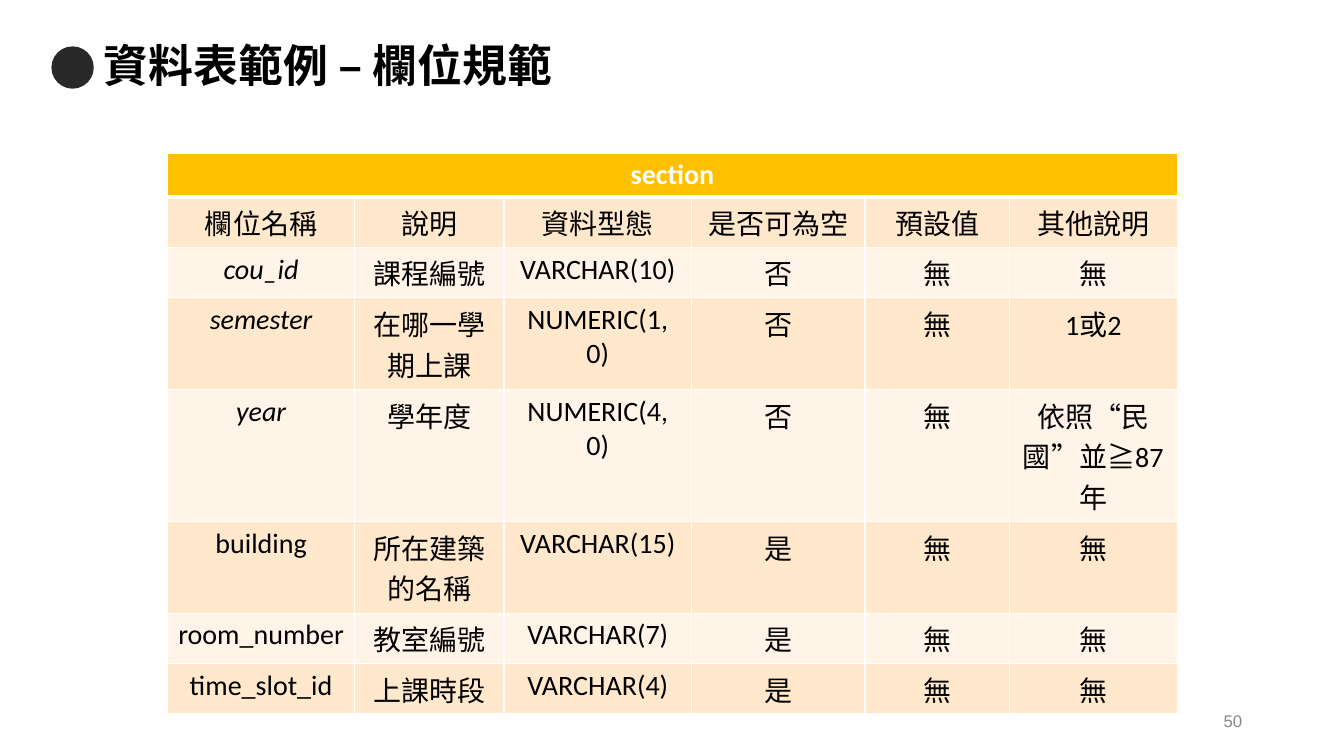
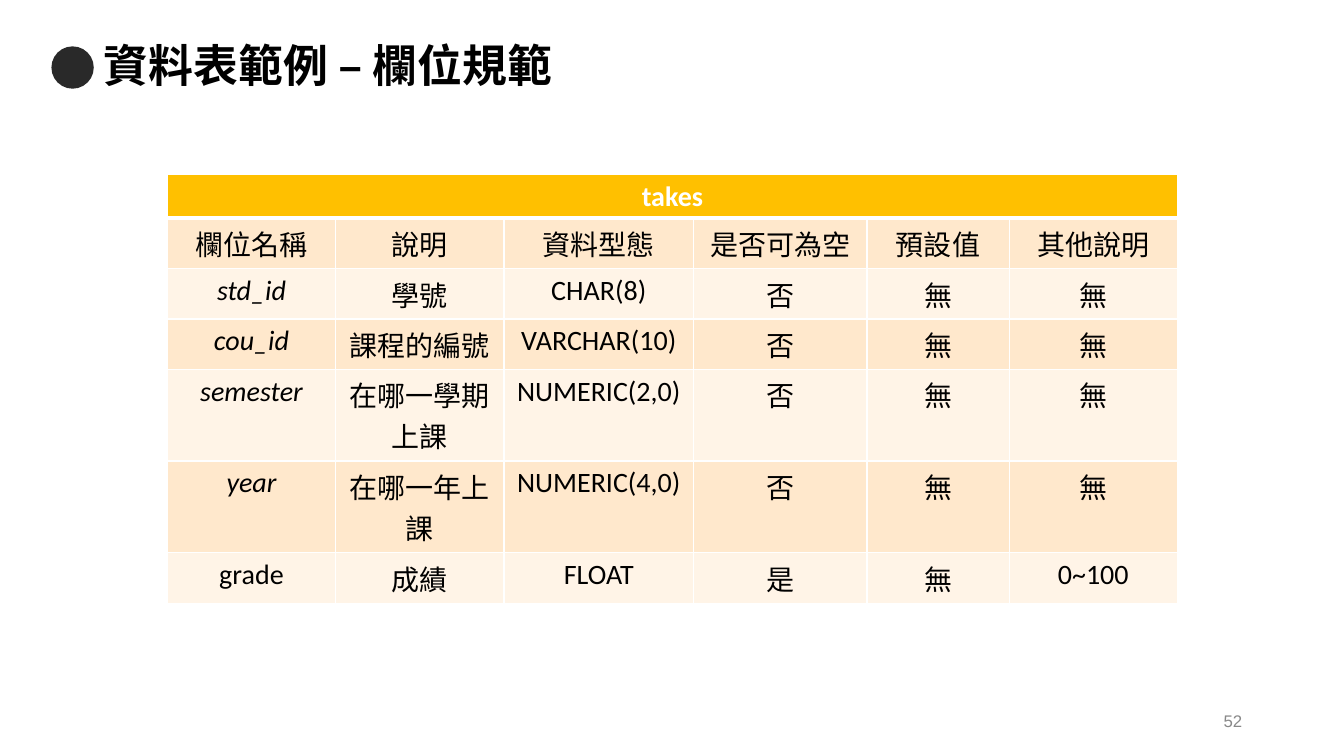
from lxml import etree
from pptx import Presentation
from pptx.dml.color import RGBColor
from pptx.enum.lang import MSO_LANGUAGE_ID
from pptx.enum.shapes import MSO_SHAPE
from pptx.enum.text import MSO_ANCHOR, MSO_AUTO_SIZE, PP_ALIGN
from pptx.oxml.ns import qn
from pptx.util import Inches, Pt

COLORS = {"dot": "292929", "text": "000000", "number": "888888", "white": "FFFFFF",
          "header": "FFC000", "band_dark": "FFE8CC", "band_light": "FFF4E7"}
TITLE = "資料表範例 – 欄位規範"
TITLE_FONT = {"name": "Calibri", "size": Pt(32), "bold": True}
HEADER_FONT = {"name": "Calibri", "size": Pt(20), "bold": True}
BODY_FONT = {"name": "Calibri", "size": Pt(20), "bold": False}
NUMBER_FONT = {"name": "Arial", "size": Pt(12)}
HEADER_HEIGHT = 0.43
ROW_HEIGHTS = {1: 0.5, 2: 0.91, 3: 1.31}  # by lines of text in the row
HEADINGS = ["欄位名稱", "說明", "資料型態", "是否可為空", "預設值", "其他說明"]

SLIDES = [
    {"number": "50", "name": "section", "top": 1.52,
     "widths": [1.86, 1.48, 1.86, 1.72, 1.43, 1.67],
     "lines": [1, 1, 2, 3, 2, 1, 1],
     "keys": ["cou_id", "semester", "year"],
     "rows": [
         ["cou_id", "課程編號", "VARCHAR(10)", "否", "無", "無"],
         ["semester", "在哪一學期上課", "NUMERIC(1, 0)", "否", "無", "1或2"],
         ["year", "學年度", "NUMERIC(4, 0)", "否", "無", "依照“民國”並≧87年"],
         ["building", "所在建築的名稱", "VARCHAR(15)", "是", "無", "無"],
         ["room_number", "教室編號", "VARCHAR(7)", "是", "無", "無"],
         ["time_slot_id", "上課時段", "VARCHAR(4)", "是", "無", "無"],
     ]},
    {"number": "52", "name": "takes", "top": 1.73,
     "widths": [1.67, 1.67, 1.88, 1.72, 1.41, 1.67],
     "lines": [1, 1, 1, 2, 2, 1],
     "keys": ["std_id", "cou_id", "semester", "year"],
     "rows": [
         ["std_id", "學號", "CHAR(8)", "否", "無", "無"],
         ["cou_id", "課程的編號", "VARCHAR(10)", "否", "無", "無"],
         ["semester", "在哪一學期上課", "NUMERIC(2,0)", "否", "無", "無"],
         ["year", "在哪一年上課", "NUMERIC(4,0)", "否", "無", "無"],
         ["grade", "成績", "FLOAT", "是", "無", "0~100"],
     ]},
]


def write(tf, text, fmt, color, align):
    """Put one formatted run into the first paragraph of a text frame."""
    p = tf.paragraphs[0]
    p.alignment = align
    r = p.add_run()
    r.text = text
    for name, value in fmt.items():
        setattr(r.font, name, value)
    r.font.color.rgb = RGBColor.from_string(COLORS[color])
    r.font.language_id = MSO_LANGUAGE_ID.TRADITIONAL_CHINESE
    return p


def style_cell(cell, fill, top=1, bottom=1):
    """Give a cell white borders, with widths in points, and a solid fill."""
    tcPr = cell._tc.get_or_add_tcPr()
    for side, width in (("L", 1), ("R", 1), ("T", top), ("B", bottom)):
        ln = etree.SubElement(tcPr, qn(f"a:ln{side}"), w=str(Pt(width)))
        solid = etree.SubElement(ln, qn("a:solidFill"))
        etree.SubElement(solid, qn("a:srgbClr"), val=COLORS["white"])
    cell.fill.solid()
    cell.fill.fore_color.rgb = RGBColor.from_string(COLORS[fill])


prs = Presentation()
prs.slide_width, prs.slide_height = Inches(13.33), Inches(7.5)

for data in SLIDES:
    s = prs.slides.add_slide(prs.slide_layouts[5])

    title = s.shapes.title
    title.left, title.top = Inches(0.93), Inches(0.35)
    title.width, title.height = Inches(11.49), Inches(0.64)
    tf = title.text_frame
    tf.auto_size = MSO_AUTO_SIZE.NONE
    tf.vertical_anchor = MSO_ANCHOR.MIDDLE
    write(tf, TITLE, TITLE_FONT, "text", PP_ALIGN.LEFT).line_spacing = 0.9

    dot = s.shapes.add_shape(MSO_SHAPE.OVAL, Inches(0.51), Inches(0.46),
                             Inches(0.42), Inches(0.42))
    dot.shadow.inherit = False
    dot.fill.solid()
    dot.fill.fore_color.rgb = RGBColor.from_string(COLORS["dot"])
    dot.line.fill.background()

    tf = s.shapes.add_textbox(Inches(9.42), Inches(6.95), Inches(3), Inches(0.4)).text_frame
    tf.word_wrap = True
    tf.vertical_anchor = MSO_ANCHOR.MIDDLE
    write(tf, data["number"], NUMBER_FONT, "number", PP_ALIGN.RIGHT)

    rows = [HEADINGS] + data["rows"]
    heights = [HEADER_HEIGHT] + [ROW_HEIGHTS[n] for n in data["lines"]]
    table = s.shapes.add_table(len(heights), len(HEADINGS), Inches(1.66),
                               Inches(data["top"]), Inches(sum(data["widths"])),
                               Inches(sum(heights))).table
    table.first_row = table.horz_banding = False
    for column, width in zip(table.columns, data["widths"]):
        column.width = Inches(width)
    for row, height in zip(table.rows, heights):
        row.height = Inches(height)

    for cell in table.rows[0].cells:
        style_cell(cell, "header", bottom=3)
    header = table.cell(0, 0)
    header.merge(table.cell(0, len(HEADINGS) - 1))
    write(header.text_frame, data["name"], HEADER_FONT, "white", PP_ALIGN.CENTER)

    for i, row in enumerate(rows, 1):
        band = "band_dark" if i % 2 else "band_light"
        for j, text in enumerate(row):
            cell = table.cell(i, j)
            style_cell(cell, band, top=3 if i == 1 else 1)
            fmt = BODY_FONT | {"italic": j == 0 and text in data["keys"]}
            write(cell.text_frame, text, fmt, "text", PP_ALIGN.CENTER)

prs.save("out.pptx")
